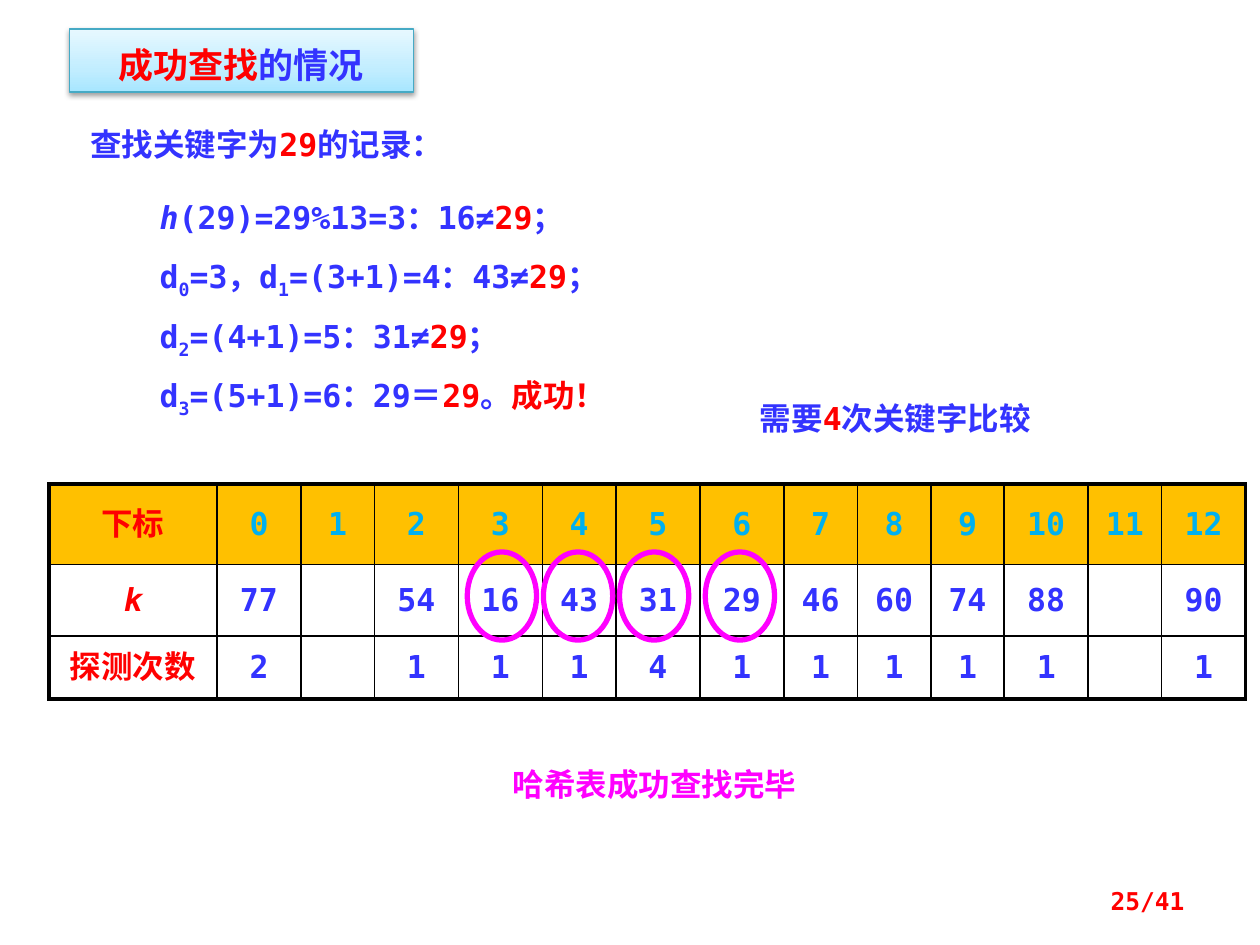
from lxml.etree import SubElement
from pptx import Presentation
from pptx.dml.color import RGBColor
from pptx.enum.shapes import MSO_SHAPE
from pptx.enum.text import MSO_ANCHOR, MSO_AUTO_SIZE, PP_ALIGN
from pptx.oxml.ns import qn
from pptx.util import Pt

RED, BLUE, PINK, SKY, GOLD = "FF0000", "3333FF", "FF00FF", "00B0F0", "FFC000"
LEFT, MID, RIGHT = PP_ALIGN.LEFT, PP_ALIGN.CENTER, PP_ALIGN.RIGHT


def tint(code):
    """Turn a hex string into a colour."""
    return RGBColor.from_string(code)


def node(root, tag, **attrs):
    """Add a drawing element under root."""
    return SubElement(root, qn("a:" + tag), {k: str(v) for k, v in attrs.items()})


class Deck:
    """Hold the style and the current slide."""

    def __init__(self, face="DejaVu Sans Mono", size=18):
        """Open a title-only slide."""
        self.face, self.size = face, size
        self.prs = Presentation()
        self.prs.slide_width, self.prs.slide_height = Pt(720), Pt(540)
        self.slide = self.prs.slides.add_slide(self.prs.slide_layouts[5])

    def run(self, para, text, color=BLUE, mark="", size=None):
        """Add one run, in italics or as a subscript if marked."""
        run = para.add_run()
        run.text = text
        font = run.font
        font.size, font.name, font.bold = Pt(size or self.size), self.face, True
        font.color.rgb = tint(color)
        if mark == "italic":
            font.italic = True
        elif mark == "sub":
            font._element.set("baseline", "-25000")
        node(font._element, "ea", typeface=self.face)

    def fill(self, frame, lines, align, size=None, pitch=1.0, gap=0):
        """Write lines of runs into a text frame."""
        for i, line in enumerate(lines):
            para = frame.add_paragraph() if i else frame.paragraphs[0]
            para.alignment, para.line_spacing = align, pitch
            if i:
                para.space_before = Pt(gap)
            for part in line:
                self.run(para, *part, size=size)

    def title(self, box, line):
        """Place the title on a shaded panel."""
        shape = self.slide.shapes.title
        shape.left, shape.top, shape.width, shape.height = map(Pt, box)
        shape.fill.gradient()
        shape.fill.gradient_angle = 90
        props = shape._element.spPr
        stops = props.find(".//" + qn("a:gsLst"))
        for stop in list(stops):
            stops.remove(stop)
        for pos, code in ((0, "A7E6FF"), (35, "C1EDFF"), (100, "E7F8FF")):
            node(node(stops, "gs", pos=pos * 1000), "srgbClr", val=code)
        shape.line.color.rgb, shape.line.width = tint("46AAC5"), Pt(0.75)
        shade = node(node(props, "effectLst"), "outerShdw", blurRad=Pt(3.1),
                     dist=Pt(1.6), dir=5400000, rotWithShape=0)
        node(node(shade, "srgbClr", val="000000"), "alpha", val=38000)
        frame = shape.text_frame
        frame.auto_size, frame.word_wrap = MSO_AUTO_SIZE.NONE, True
        frame.vertical_anchor = MSO_ANCHOR.TOP
        self.fill(frame, [line], MID, 20, 1.2)

    def text(self, box, lines, align=LEFT, anchor=MSO_ANCHOR.TOP, **style):
        """Add a text box."""
        frame = self.slide.shapes.add_textbox(*map(Pt, box)).text_frame
        frame.word_wrap, frame.vertical_anchor = True, anchor
        self.fill(frame, lines, align, **style)

    def ring(self, box):
        """Add a hollow ellipse."""
        shape = self.slide.shapes.add_shape(MSO_SHAPE.OVAL, *map(Pt, box))
        shape.shadow.inherit = False
        shape.fill.background()
        shape.line.color.rgb, shape.line.width = tint(PINK), Pt(3)

    def edge(self, cell, sides):
        """Draw the four borders of a cell, thick on the outside."""
        props = cell._tc.get_or_add_tcPr()
        for side, outer in sides.items():
            line = node(props, "ln" + side, w=Pt(2.25 if outer else 1))
            node(node(line, "solidFill"), "srgbClr", val="000000")

    def table(self, left, top, cols, rows, data):
        """Add the hash table."""
        size = len(rows), len(cols)
        grid = self.slide.shapes.add_table(
            *size, Pt(left), Pt(top), Pt(sum(cols)), Pt(sum(rows))).table
        grid.horz_banding = False
        for col, width in zip(grid.columns, cols):
            col.width = Pt(width)
        for row, height in zip(grid.rows, rows):
            row.height = Pt(height)
        for r, line in enumerate(data):
            for c, word in enumerate(line):
                cell = grid.cell(r, c)
                cell.vertical_anchor = MSO_ANCHOR.MIDDLE
                self.edge(cell, {"L": c == 0, "R": c == size[1] - 1,
                                 "T": r == 0, "B": r == size[0] - 1})
                if r:
                    cell.fill.background()
                else:
                    cell.fill.solid()
                    cell.fill.fore_color.rgb = tint(GOLD)
                color = RED if c == 0 else BLUE if r else SKY
                if word:
                    mark = "italic" if word == "k" else ""
                    self.fill(cell.text_frame, [[(word, color, mark)]], MID)


def main():
    """Build the slide and save it."""
    deck = Deck()
    deck.title((39.6, 16.6, 196.6, 36), [("成功查找", RED), ("的情况",)])
    deck.text((241.9, 433.4, 264.2, 28.8), [[("哈希表成功查找完毕", PINK)]], MID)
    deck.text((44.6, 67.7, 292.3, 28.8),
              [[("查找关键字为",), ("29", RED), ("的记录：",)]])
    key, stop = ("29", RED), ("；",)
    deck.text((84.2, 112.3, 315.4, 118.8), [
        [("h", BLUE, "italic"), ("(29)=29%13=3：16≠",), key, stop],
        [("d",), ("0", BLUE, "sub"), ("=3，d",), ("1", BLUE, "sub"),
         ("=(3+1)=4：43≠",), key, stop],
        [("d",), ("2", BLUE, "sub"), ("=(4+1)=5：31≠",), key, stop],
        [("d",), ("3", BLUE, "sub"), ("=(5+1)=6：29＝",), key, ("。",),
         ("成功！", RED)],
    ], pitch=0.9, gap=12)
    wide, slim = 48, 42
    cols = [96, wide, slim, wide, wide, slim, wide, wide,
            slim, slim, slim, wide, slim, wide]
    keys = ["77", "", "54", "16", "43", "31", "29",
            "46", "60", "74", "88", "", "90"]
    tries = ["2", "", *"11141111", "1", "", "1"]
    tries = ["2", "", *"111411111", "", "1"]
    deck.table(28, 276.5, cols, [46, 41, 36], [
        ["下标", *map(str, range(13))], ["k", *keys], ["探测次数", *tries]])
    for left in (267, 310.5, 354, 403):
        deck.ring((left, 315.4, 39.6, 50.4))
    deck.text((382.3, 224.6, 258.5, 28.8),
              [[("需要",), ("4", RED), ("次关键字比较",)]], MID)
    deck.text((516.2, 500.4, 167.8, 28.8), [[("25/41", RED)]], RIGHT,
              MSO_ANCHOR.MIDDLE, size=14)
    deck.prs.save("out.pptx")


if __name__ == "__main__":
    main()
